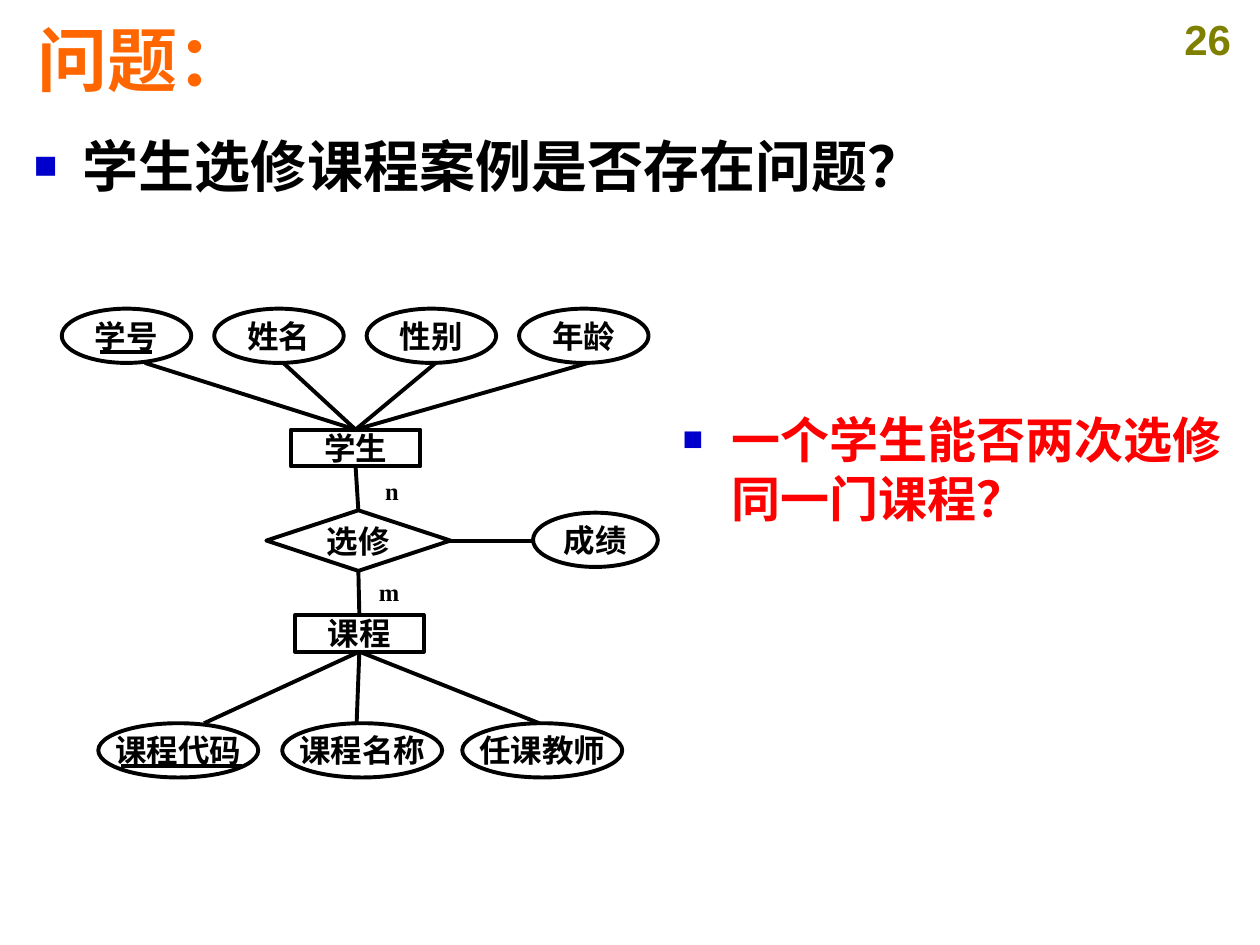
from lxml.etree import SubElement
from pptx import Presentation
from pptx.dml.color import RGBColor
from pptx.enum.shapes import MSO_CONNECTOR, MSO_SHAPE
from pptx.enum.text import MSO_ANCHOR, MSO_AUTO_SIZE, PP_ALIGN
from pptx.oxml.ns import qn
from pptx.util import Pt

TOP, BOTTOM, RIGHT = 0, 2, 3


def color(hex_string):
    return RGBColor.from_string(hex_string)


def write(shape, text, size=18, font="Times New Roman", fill="000000",
          align=PP_ALIGN.LEFT, anchor=MSO_ANCHOR.TOP, wrap=True, bullet=False):
    frame = shape.text_frame
    frame.auto_size = MSO_AUTO_SIZE.NONE
    frame.word_wrap = wrap
    frame.vertical_anchor = anchor
    frame.text = text
    paragraph = frame.paragraphs[0]
    paragraph.alignment = align
    paragraph.space_before = Pt(0)
    if bullet:
        add_bullet(paragraph)
    paragraph.font.size = Pt(size)
    paragraph.font.name = font
    paragraph.font.bold = True
    paragraph.font.color.rgb = color(fill)


def add_bullet(paragraph):
    properties = paragraph._p.get_or_add_pPr()
    properties.set("marL", str(Pt(28)))
    properties.set("indent", str(-Pt(28)))
    bullet_color = SubElement(properties, qn("a:buClr"))
    SubElement(bullet_color, qn("a:srgbClr"), val="0000CC")
    SubElement(properties, qn("a:buSzPct"), val="70000")
    SubElement(properties, qn("a:buFont"), typeface="Arial")
    SubElement(properties, qn("a:buChar"), char="■")


class Diagram:
    """Holds the line style and the slide being drawn."""
    line_color = "000000"
    line_width = 2.25

    def __init__(self, slide):
        self.slide = slide

    def placeholder(self, shape, box, text, **style):
        shape.left, shape.top, shape.width, shape.height = map(Pt, box)
        write(shape, text, **style)

    def label(self, box, text, **style):
        write(self.slide.shapes.add_textbox(*map(Pt, box)), text, **style)

    def node(self, kind, box, text):
        shape = self.slide.shapes.add_shape(kind, *map(Pt, box))
        shape.shadow.inherit = False
        shape.fill.background()
        self.outline(shape)
        write(shape, text, align=PP_ALIGN.CENTER, anchor=MSO_ANCHOR.MIDDLE, wrap=False)
        return shape

    def outline(self, shape):
        shape.line.color.rgb = color(self.line_color)
        shape.line.width = Pt(self.line_width)

    def line(self, start, end):
        """Each end is an (x, y) point or a (shape, side) pair."""
        connector = self.slide.shapes.add_connector(MSO_CONNECTOR.STRAIGHT, 0, 0, 0, 0)
        self.outline(connector)
        SubElement(connector._element.spPr, qn("a:effectLst"))
        if isinstance(start[0], (int, float)):
            connector.begin_x, connector.begin_y = map(Pt, start)
        else:
            connector.begin_connect(*start)
        if isinstance(end[0], (int, float)):
            connector.end_x, connector.end_y = map(Pt, end)
        else:
            connector.end_connect(*end)


def main():
    presentation = Presentation()
    presentation.slide_width, presentation.slide_height = Pt(720), Pt(540)
    slide = presentation.slides.add_slide(presentation.slide_layouts[1])
    diagram = Diagram(slide)

    # Title, question and page number
    diagram.placeholder(slide.shapes.title, (14.4, 13.7, 682, 39.6), "问题：", size=40,
                        font="Arial", fill="FF6600", anchor=MSO_ANCHOR.MIDDLE)
    diagram.placeholder(slide.placeholders[1], (12.2, 71.3, 697, 46),
                        "学生选修课程案例是否存在问题？", size=32, bullet=True)
    diagram.label((664.6, 4.3, 51, 36), "26", size=24, font="Arial", fill="808000",
                  align=PP_ALIGN.CENTER)

    # Entities and their relationship
    student = diagram.node(MSO_SHAPE.RECTANGLE, (166.2, 245.5, 74, 21), "学生")
    course = diagram.node(MSO_SHAPE.RECTANGLE, (168.6, 351.4, 73.5, 21), "课程")
    enrolment = diagram.node(MSO_SHAPE.DIAMOND, (152.2, 291.6, 105.2, 34.6), "选修")
    diagram.line((student, BOTTOM), (enrolment, TOP))
    diagram.line((enrolment, BOTTOM), (course, TOP))
    diagram.label((213, 268.5, 20, 24.5), "n", size=14)
    diagram.label((209.5, 326.2, 20, 24.5), "m", size=14)

    # Relationship attribute
    diagram.node(MSO_SHAPE.OVAL, (304.6, 293, 71.3, 31), "成绩")
    diagram.line((enrolment, RIGHT), (304.6, 308.9))

    # Student attributes
    for index, name in enumerate(("学号", "姓名", "性别", "年龄")):
        left = 35.3 + 87.1 * index
        diagram.node(MSO_SHAPE.OVAL, (left, 176.4, 74, 31), name)
        offset = 47.5 if index == 0 else 39.5
        diagram.line((left + offset, 207.4), (student, TOP))

    # Course attributes
    course_attributes = (("课程代码", 56.2, 116.6), ("课程名称", 161.3, 203.8),
                         ("任课教师", 264.2, 308.2))
    for name, left, joint in course_attributes:
        diagram.node(MSO_SHAPE.OVAL, (left, 413.3, 91.4, 31), name)
        diagram.line((course, BOTTOM), (joint, 413.3))

    # Key underlines
    diagram.line((56.9, 200.9), (87.1, 200.9))
    diagram.line((69.1, 437.8), (138.2, 437.8))

    # Follow-up question
    diagram.label((383, 230.4, 329.8, 78.5), "一个学生能否两次选修同一门课程？", size=28,
                  fill="FF0000", bullet=True)

    presentation.save("out.pptx")


if __name__ == "__main__":
    main()
